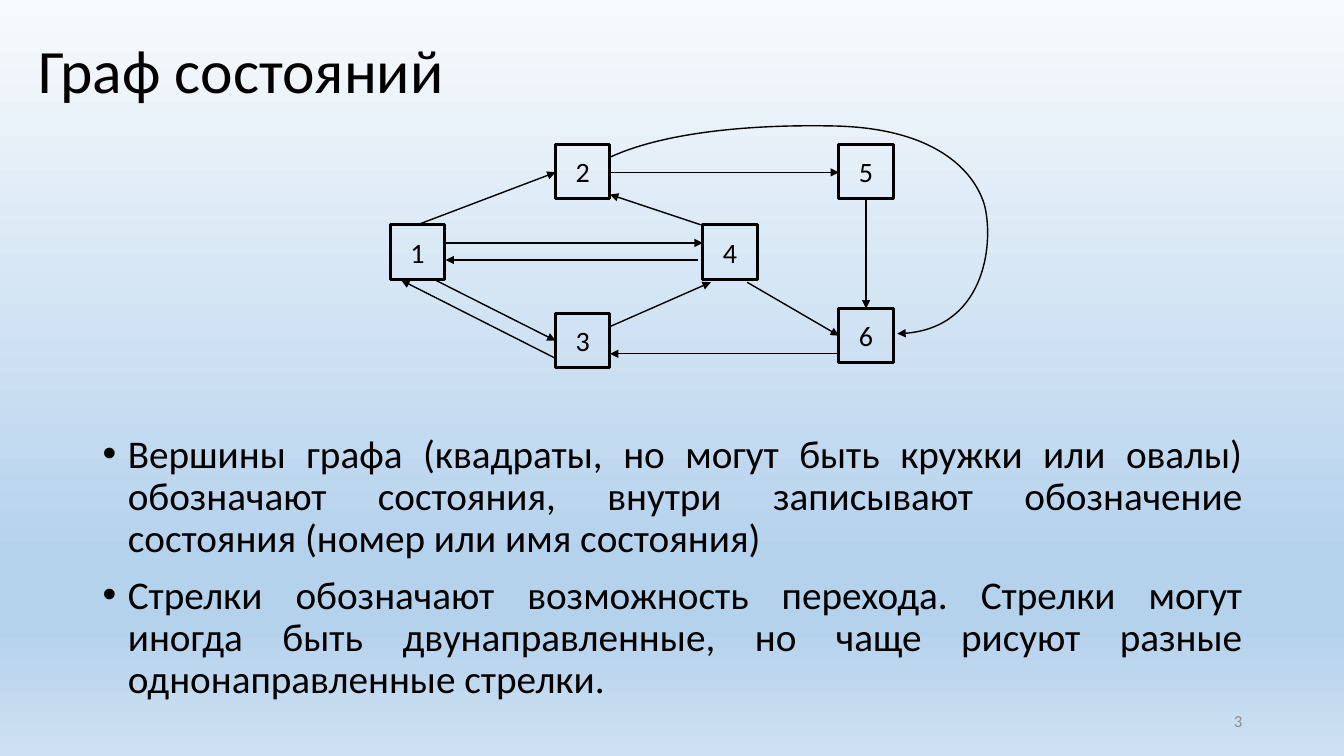
import lxml.etree
import pptx
import pptx.dml.color
import pptx.enum.shapes
import pptx.enum.text
import pptx.oxml.ns
import pptx.util

Inches = pptx.util.Inches
Pt = pptx.util.Pt
qn = pptx.oxml.ns.qn
Align = pptx.enum.text.PP_ALIGN
Anchor = pptx.enum.text.MSO_ANCHOR
COLORS = {"ink": "000000", "number": "8C8C8C", "sky": "F7FAFD", "blue": "B5D2EC", "pale": "CEE1F2"}


def write(shape, lines, size, color, align, anchor, **paragraph_format):
    frame = shape.text_frame
    frame.word_wrap = True
    frame.vertical_anchor = anchor
    frame.text = "\n".join(lines)
    for para in frame.paragraphs:
        for name, value in {"alignment": align, **paragraph_format}.items():
            setattr(para, name, value)
        span = para.runs[0]
        for name, value in {"size": Pt(size), "name": "Calibri", "bold": False}.items():
            setattr(span.font, name, value)
        span.font.color.rgb = pptx.dml.color.RGBColor.from_string(COLORS[color])


def draw_arrow(shape):
    shape.line.width = Pt(1)
    shape.line.color.rgb = pptx.dml.color.RGBColor.from_string(COLORS["ink"])
    line = shape.line._get_or_add_ln()
    lxml.etree.SubElement(line, qn("a:tailEnd"), type="triangle")
    lxml.etree.SubElement(shape._element.spPr, qn("a:effectLst"))


deck = pptx.Presentation()
deck.slide_width = Inches(13.33)
deck.slide_height = Inches(7.5)
page = deck.slides.add_slide(deck.slide_layouts[5])

fill = page.background.fill
fill.gradient()
fill.gradient_angle = 270
stops = page._element.find(".//" + qn("a:gsLst"))
for stop in list(stops):
    stops.remove(stop)
for percent, color in [(0, "sky"), (74, "blue"), (83, "blue"), (100, "pale")]:
    stop = lxml.etree.SubElement(stops, qn("a:gs"), pos=str(percent * 1000))
    lxml.etree.SubElement(stop, qn("a:srgbClr"), val=COLORS[color])

title = page.shapes.title
for name, value in {"left": 0.28, "top": 0, "width": 12.78, "height": 1.45}.items():
    setattr(title, name, Inches(value))
write(title, ["Граф состояний"], 44, "ink", Align.LEFT, Anchor.MIDDLE, line_spacing=0.9)

body = page.shapes.add_textbox(Inches(0.92), Inches(4.26), Inches(11.5), Inches(2.95))
write(body, [
    "Вершины графа (квадраты, но могут быть кружки или овалы) обозначают состояния, "
    "внутри записывают обозначение состояния (номер или имя состояния)",
    "Стрелки обозначают возможность перехода. Стрелки могут иногда быть двунаправленные, "
    "но чаще рисуют разные однонаправленные стрелки.",
], 28, "ink", Align.JUSTIFY, Anchor.TOP, line_spacing=0.9, space_after=Pt(10))
for para in body.text_frame.paragraphs:
    properties = para._p.get_or_add_pPr()
    properties.set("marL", str(Inches(0.25)))
    properties.set("indent", str(Inches(-0.25)))
    lxml.etree.SubElement(properties, qn("a:buFont"), typeface="Arial")
    lxml.etree.SubElement(properties, qn("a:buChar"), char="•")

STATE_SIZE = 0.54
STATES = {"1": (3.87, 2.23), "2": (5.51, 1.43), "3": (5.51, 3.11),
          "4": (6.97, 2.23), "5": (8.32, 1.43), "6": (8.32, 3.06)}
for label, (left, top) in STATES.items():
    state = page.shapes.add_shape(
        pptx.enum.shapes.MSO_SHAPE.RECTANGLE,
        Inches(left), Inches(top), Inches(STATE_SIZE), Inches(STATE_SIZE))
    state.shadow.inherit = False
    state.fill.background()
    state.line.width = Pt(2.25)
    state.line.color.rgb = pptx.dml.color.RGBColor.from_string(COLORS["ink"])
    write(state, [label], 20, "ink", Align.CENTER, Anchor.MIDDLE)

TRANSITIONS = [
    (4.14, 2.23, 5.51, 1.71),
    (4.42, 2.41, 6.97, 2.41),
    (6.05, 1.71, 8.32, 1.71),
    (4.3, 2.77, 5.51, 3.38),
    (6.05, 3.24, 7.05, 2.8),
    (7.41, 2.8, 8.32, 3.33),
    (8.59, 1.98, 8.59, 3.06),
    (8.32, 3.51, 6.05, 3.51),
    (6.92, 2.58, 4.42, 2.58),
    (6.95, 2.23, 6.05, 1.93),
    (5.5, 3.55, 3.98, 2.78),
]
for ends in TRANSITIONS:
    draw_arrow(page.shapes.add_connector(
        pptx.enum.shapes.MSO_CONNECTOR.STRAIGHT, *map(Inches, ends)))

CURVE = [(6.5, 1.35), (7.27, 1.23), (8.27, 1.25),
         (9.26, 1.27), (9.65, 1.68), (9.76, 2.02),
         (9.86, 2.37), (9.79, 3.3), (8.9, 3.31)]
builder = page.shapes.build_freeform(Inches(6.05), Inches(1.56))
builder.add_line_segments([(Inches(x), Inches(y)) for x, y in CURVE], close=False)
bypass = builder.convert_to_shape()
bypass.fill.background()
segments = bypass._element.findall(".//" + qn("a:lnTo"))
for start in range(0, len(segments), 3):
    bezier = lxml.etree.Element(qn("a:cubicBezTo"))
    segments[start].addprevious(bezier)
    for segment in segments[start:start + 3]:
        bezier.append(segment[0])
        segment.getparent().remove(segment)
draw_arrow(bypass)

number = page.shapes.add_textbox(Inches(9.42), Inches(6.95), Inches(3), Inches(0.4))
write(number, ["3"], 12, "number", Align.RIGHT, Anchor.MIDDLE)

deck.save("out.pptx")
